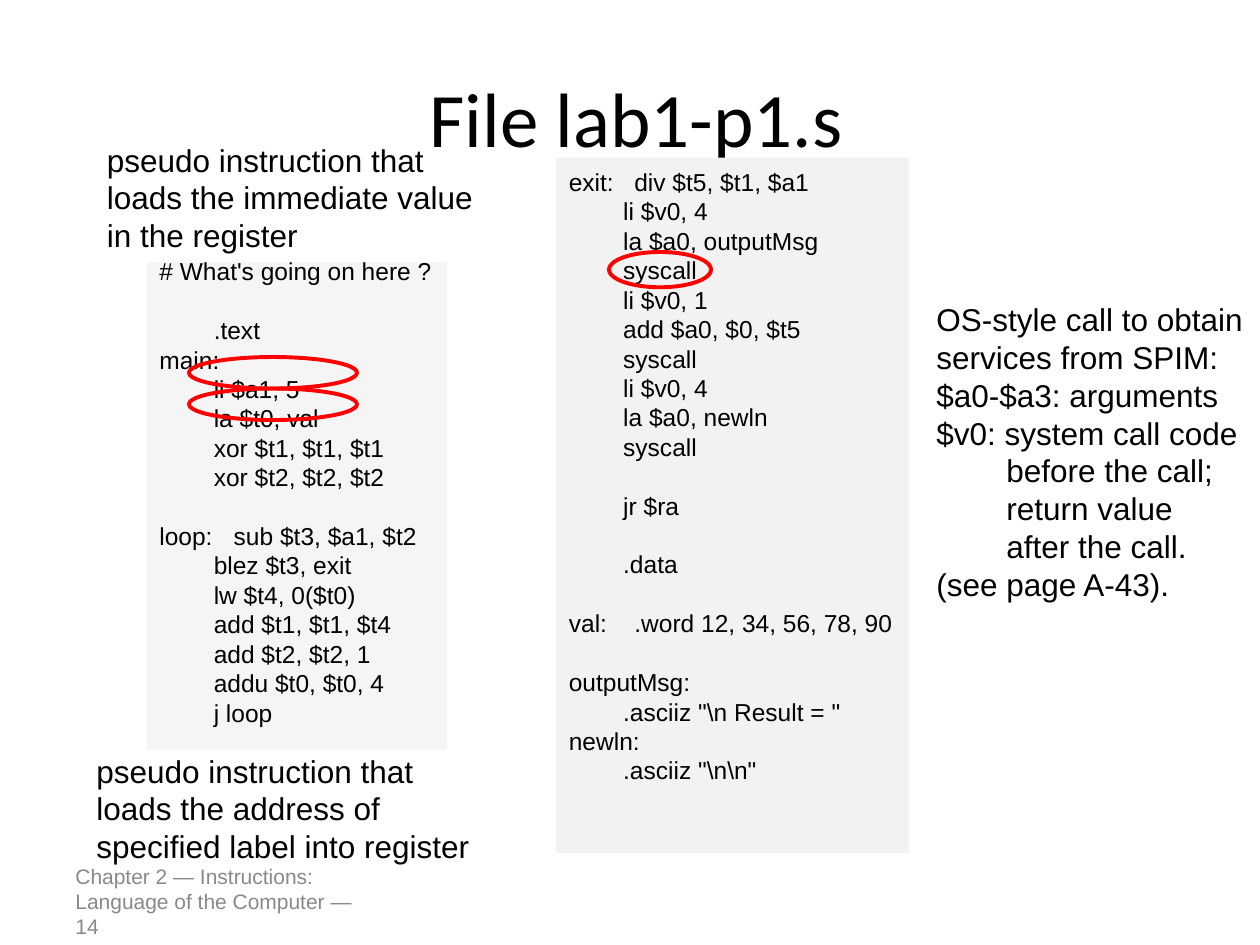
from dataclasses import dataclass

import pptx
import pptx.dml.color
import pptx.enum.shapes
import pptx.enum.text
import pptx.oxml
import pptx.oxml.ns
import pptx.util

RGBColor = pptx.dml.color.RGBColor
Shapes = pptx.enum.shapes.MSO_SHAPE
Anchor = pptx.enum.text.MSO_ANCHOR
Align = pptx.enum.text.PP_ALIGN
Inches = pptx.util.Inches
Pt = pptx.util.Pt

BLACK = RGBColor(0x00, 0x00, 0x00)
GRAY = RGBColor(0x89, 0x89, 0x89)
RED = RGBColor(0xFF, 0x00, 0x00)
PALE = RGBColor(0xF5, 0xF5, 0xF5)
PALER = RGBColor(0xF2, 0xF2, 0xF2)

WIDTH, HEIGHT = Inches(10), Inches(7.5)
COLUMNS, ROWS = 120, 90
LINE_RATIO = 1.2
INDENT_RATIO = 2.22


@dataclass(frozen=True)
class Area:
    column: float
    row: float
    columns: float
    rows: float

    def lengths(self) -> tuple[int, ...]:
        across, down = WIDTH / COLUMNS, HEIGHT / ROWS
        return (round(self.column * across), round(self.row * down),
                round(self.columns * across), round(self.rows * down))


@dataclass(frozen=True)
class Line:
    text: str
    indented: bool = False
    gap: int = 0
    tab: float = 0


@dataclass(frozen=True)
class Block:
    area: Area
    lines: tuple[Line, ...]
    size: int = 18
    font: str = "Arial"
    color: RGBColor = BLACK
    fill: RGBColor | None = None
    align: Align = Align.LEFT
    anchor: Anchor = Anchor.TOP
    top_inset: float = 0.05
    spare_lines: int = 0


def flush(*texts: str) -> tuple[Line, ...]:
    return tuple(Line(text) for text in texts)


def indented(*texts: str, gap: int = 0) -> tuple[Line, ...]:
    return tuple(Line(text, True, 0 if index else gap)
                 for index, text in enumerate(texts))


def assign(target, values: dict) -> None:
    for name, value in values.items():
        setattr(target, name, value)


def add_tab_stop(para, inches: float) -> None:
    properties = para._p.get_or_add_pPr()
    stops = pptx.oxml.parse_xml(
        f'<a:tabLst {pptx.oxml.ns.nsdecls("a")}>'
        f'<a:tab pos="{Inches(inches)}" algn="l"/></a:tabLst>')
    properties.append(stops)


def write_line(para, line: Line, block: Block) -> None:
    assign(para, {"alignment": block.align,
                  "space_before": Pt(line.gap * block.size * LINE_RATIO)})
    if line.indented:
        properties = para._p.get_or_add_pPr()
        properties.set("marL", str(Pt(block.size * INDENT_RATIO)))
        properties.set("indent", "0")
    if line.tab:
        add_tab_stop(para, line.tab)
    span = para.add_run()
    span.text = line.text
    assign(span.font, {"name": block.font, "size": Pt(block.size)})
    span.font.color.rgb = block.color


def add_block(page, block: Block) -> None:
    if block.fill is None:
        box = page.shapes.add_textbox(*block.area.lengths())
    else:
        box = page.shapes.add_shape(Shapes.RECTANGLE, *block.area.lengths())
        box.shadow.inherit = False
        box.fill.solid()
        box.fill.fore_color.rgb = block.fill
        box.line.fill.background()
    frame = box.text_frame
    spare = Pt(block.spare_lines * block.size * LINE_RATIO)
    assign(frame, {
        "word_wrap": True,
        "vertical_anchor": block.anchor,
        "margin_left": Inches(0.1),
        "margin_right": Inches(0),
        "margin_top": Inches(block.top_inset),
        "margin_bottom": Inches(block.top_inset) + spare,
    })
    for index, line in enumerate(block.lines):
        para = frame.add_paragraph() if index else frame.paragraphs[0]
        write_line(para, line, block)


def add_ring(page, area: Area) -> None:
    ring = page.shapes.add_shape(Shapes.OVAL, *area.lengths())
    ring.shadow.inherit = False
    ring.fill.background()
    ring.line.color.rgb = RED
    ring.line.width = Pt(2.25)


CODE = {"size": 14, "anchor": Anchor.MIDDLE, "top_inset": 0}

BLOCKS = (
    Block(Area(6, 83.4, 28, 4.8),
          flush("Chapter 2 — Instructions: Language of the Computer — 14"),
          size=12, color=GRAY, anchor=Anchor.MIDDLE),
    Block(Area(6, 3.6, 108, 15), flush("File lab1-p1.s"), size=44,
          font="Calibri", align=Align.CENTER, anchor=Anchor.MIDDLE),
    Block(Area(14, 25, 28.56, 46.44), (
        *flush("# What's going on here ?"),
        *indented(".text", gap=1),
        *flush("main:"),
        *indented("li $a1, 5", "la $t0, val",
                  "xor $t1, $t1, $t1", "xor $t2, $t2, $t2"),
        Line("loop:\tsub $t3, $a1, $t2", gap=1, tab=0.59),
        *indented("blez $t3, exit", "lw $t4, 0($t0)", "add $t1, $t1, $t4",
                  "add $t2, $t2, 1", "addu $t0, $t0, 4", "j loop"),
    ), fill=PALE, spare_lines=1, **CODE),
    Block(Area(53, 15, 33.6, 66.24), (
        Line("exit:\tdiv $t5, $t1, $a1", tab=0.52),
        *indented("li $v0, 4", "la $a0, outputMsg", "syscall",
                  "li $v0, 1", "add $a0, $0, $t5", "syscall",
                  "li $v0, 4", "la $a0, newln", "syscall"),
        *indented("jr $ra", gap=1),
        *indented(".data", gap=1),
        Line("val:\t.word 12, 34, 56, 78, 90", gap=1, tab=0.52),
        Line("outputMsg:", gap=1),
        *indented('.asciiz "\\n Result = "'),
        *flush("newln:"),
        *indented('.asciiz "\\n\\n"'),
    ), fill=PALER, spare_lines=2, **CODE),
    Block(Area(88, 28, 32, 34), (
        *flush("OS-style call to obtain", "services from SPIM:",
               "$a0-$a3: arguments", "$v0: system call code"),
        *indented("before the call;", "return value", "after the call."),
        *flush("(see page A-43)."),
    )),
    Block(Area(9, 12.8, 37.7, 12.1),
          flush("pseudo instruction that", "loads the immediate value",
                "in the register")),
    Block(Area(8, 71, 38.3, 12.1),
          flush("pseudo instruction that", "loads the address of",
                "specified label into register")),
)

RINGS = (Area(58, 24, 9.72, 3.36), Area(18, 34, 16, 3), Area(18, 37, 16, 3))


def main() -> None:
    deck = pptx.Presentation()
    assign(deck, {"slide_width": WIDTH, "slide_height": HEIGHT})
    page = deck.slides.add_slide(deck.slide_layouts[6])
    for block in BLOCKS:
        add_block(page, block)
    for area in RINGS:
        add_ring(page, area)
    deck.save("out.pptx")


if __name__ == "__main__":
    main()
